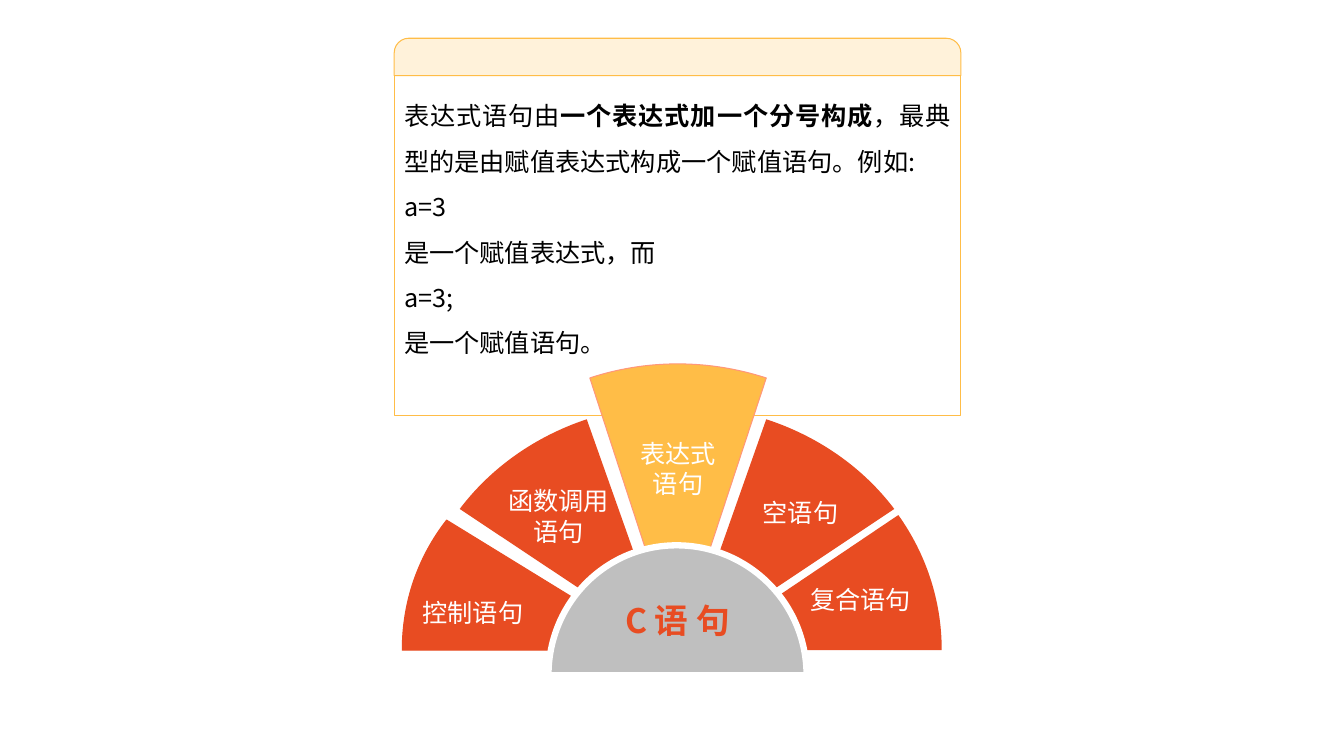
from dataclasses import dataclass

from lxml import etree
from pptx import Presentation
from pptx.dml.color import RGBColor
from pptx.enum.shapes import MSO_SHAPE
from pptx.enum.text import MSO_ANCHOR, PP_ALIGN
from pptx.oxml.ns import qn
from pptx.util import Inches, Pt

RECTANGLE = MSO_SHAPE.RECTANGLE
ROUND_TOP = MSO_SHAPE.ROUND_2_SAME_RECTANGLE
TOP, MIDDLE = MSO_ANCHOR.TOP, MSO_ANCHOR.MIDDLE
CENTER, JUSTIFY = PP_ALIGN.CENTER, PP_ALIGN.JUSTIFY
FONT = "Noto Sans CJK SC"
COLORS = {
    "orange": "E84C22",
    "amber": "FFBD47",
    "cream": "FFF2DA",
    "salmon": "FF977A",
    "gray": "BFBFBF",
    "white": "FFFFFF",
    "black": "000000",
}
PANEL_LEFT, PANEL_WIDTH = 3.91, 5.62
HEADER_TOP, PANEL_TOP, PANEL_HEIGHT = 0.38, 0.75, 3.37

Point = tuple[float, float]


@dataclass(frozen=True)
class TextStyle:
    insets: tuple[float, float, float, float]
    color: str = "white"
    size: int = 18
    bold: bool = False
    align: PP_ALIGN = CENTER
    anchor: MSO_ANCHOR = MIDDLE
    spacing: float | None = None


@dataclass(frozen=True)
class Sector:
    text: str
    curve: tuple[Point, ...]
    style: TextStyle
    tip: tuple[Point, ...] = ()
    fill: str = "orange"
    line: str | None = None
    line_width: float = 0.75


BACK_SECTOR = Sector(
    "函数调用\n语句", ((5.82, 4.16), (5.31, 4.33), (4.87, 4.64), (4.56, 5.05)),
    TextStyle((0.1, 0.05, 0.2, 0.39)), ((6.62, 6.42),))
FRONT_SECTORS = [
    Sector("控制语句", ((4.43, 5.16), (4.15, 5.52), (3.99, 5.96), (3.99, 6.45)),
           TextStyle((0.2, 0.59, 0.1, 0.05), align=JUSTIFY), ((6.53, 6.45),),
           line="orange"),
    Sector("表达式\n语句",
           ((7.6, 3.75), (7.32, 3.66), (7.03, 3.61), (6.72, 3.61),
            (6.42, 3.61), (6.12, 3.66), (5.85, 3.75)),
           TextStyle((0.1, 0.05, 0.1, 0.79)), ((6.72, 6.42),),
           fill="amber", line="salmon"),
    Sector("空语句", ((8.87, 5.05), (8.56, 4.64), (8.12, 4.33), (7.6, 4.16)),
           TextStyle((0.31, 0.05, 0.1, 0.47)), ((6.8, 6.43),)),
    Sector("复合语句", ((9.34, 6.45), (9.34, 5.95), (9.18, 5.49), (8.91, 5.11)),
           TextStyle((0.91, 0.39, 0.1, 0.05)), ((6.92, 6.45),)),
    Sector("C 语 句",
           ((8, 6.7), (8, 5.98), (7.42, 5.41), (6.71, 5.41),
            (6.01, 5.41), (5.44, 5.98), (5.44, 6.7)),
           TextStyle((0, 0.2, 0, 0), color="orange", size=24, bold=True),
           fill="gray", line="white", line_width=4.5),
]


def rgb(name: str) -> RGBColor:
    return RGBColor.from_string(COLORS[name])


def paint(shape, fill: str, line: str | None, width: float = 0.75) -> None:
    shape.shadow.inherit = False
    shape.fill.solid()
    shape.fill.fore_color.rgb = rgb(fill)
    if line is None:
        shape.line.fill.background()
    else:
        shape.line.color.rgb = rgb(line)
        shape.line.width = Pt(width)


def style_text(shape, style: TextStyle) -> None:
    frame = shape.text_frame
    frame.word_wrap = True
    frame.vertical_anchor = style.anchor
    frame.margin_left, frame.margin_top, frame.margin_right, frame.margin_bottom = map(
        Inches, style.insets)
    for para in frame.paragraphs:
        para.alignment = style.align
        para.line_spacing = style.spacing
        for span in para.runs:
            span.font.name = FONT
            span.font.size = Pt(style.size)
            span.font.bold = style.bold
            span.font.color.rgb = rgb(style.color)
            east_asian = etree.Element(qn("a:ea"), typeface=FONT)
            span.font._element.find(qn("a:latin")).addnext(east_asian)


def bend_edges(shape, curve: tuple[Point, ...]) -> None:
    edges = list(shape._element.iter(qn("a:lnTo")))
    for edge, first in zip(edges, range(1, len(curve), 3)):
        bend = etree.Element(qn("a:cubicBezTo"))
        for x, y in curve[first:first + 3]:
            etree.SubElement(bend, qn("a:pt"), x=str(Inches(x) - shape.left),
                             y=str(Inches(y) - shape.top))
        edge.getparent().replace(edge, bend)


def add_sector(page, sector: Sector) -> None:
    corners = [(Inches(x), Inches(y)) for x, y in sector.curve[::3] + sector.tip]
    builder = page.shapes.build_freeform(*corners[0])
    builder.add_line_segments(corners[1:], close=False)
    shape = builder.convert_to_shape()
    bend_edges(shape, sector.curve)
    outline = next(shape._element.iter(qn("a:path")))
    etree.SubElement(outline, qn("a:close"))
    paint(shape, sector.fill, sector.line, sector.line_width)
    shape.text_frame.text = sector.text
    style_text(shape, sector.style)


def add_box(page, kind: MSO_SHAPE, top: float, height: float, fill: str):
    box = page.shapes.add_shape(kind, Inches(PANEL_LEFT), Inches(top),
                                Inches(PANEL_WIDTH), Inches(height))
    paint(box, fill, "amber")
    return box


def add_panel(page) -> None:
    panel = add_box(page, RECTANGLE, PANEL_TOP, PANEL_HEIGHT, "white")
    panel.text_frame.text = "表达式语句由\na=3\n是一个赋值表达式，而\na=3;\n是一个赋值语句。"
    opening = panel.text_frame.paragraphs[0]
    emphasis = opening.add_run()
    emphasis.text = "一个表达式加一个分号构成"
    opening.add_run().text = "，最典型的是由赋值表达式构成一个赋值语句。例如: "
    style_text(panel, TextStyle((0.1, 0.1, 0.1, 0.1), color="black", align=JUSTIFY,
                                anchor=TOP, spacing=1.5))
    emphasis.font.bold = True

    header = add_box(page, ROUND_TOP, HEADER_TOP, PANEL_TOP - HEADER_TOP, "cream")
    header.adjustments[0] = 0.39
    header.adjustments[1] = 0


def main() -> None:
    deck = Presentation()
    deck.slide_width, deck.slide_height = Inches(13.33), Inches(7.5)
    page = deck.slides.add_slide(deck.slide_layouts[6])
    add_sector(page, BACK_SECTOR)
    add_panel(page)
    for sector in FRONT_SECTORS:
        add_sector(page, sector)
    deck.save("out.pptx")


if __name__ == "__main__":
    main()
